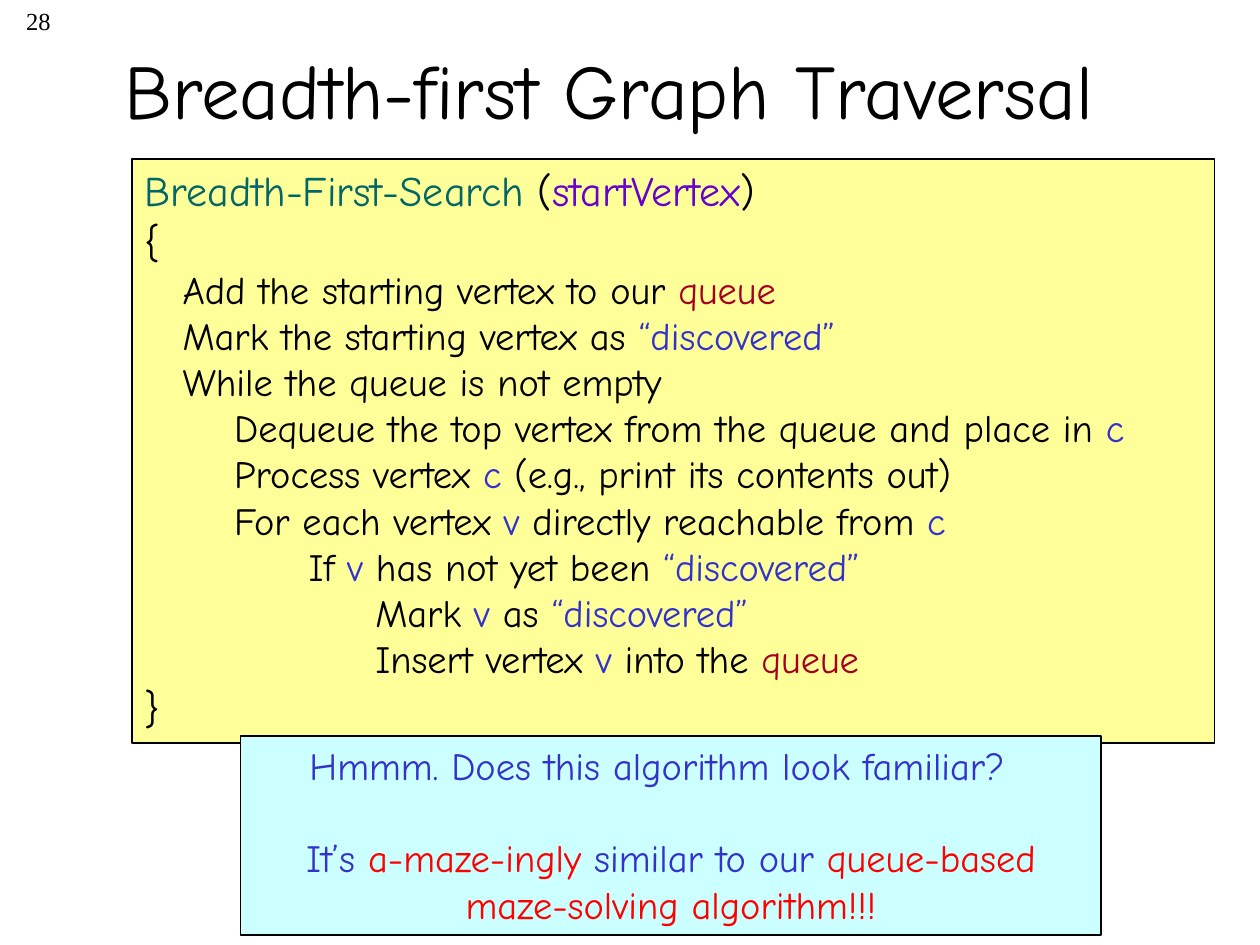
from dataclasses import dataclass
from typing import NamedTuple, Optional

from pptx import Presentation
from pptx.dml.color import RGBColor
from pptx.enum.shapes import MSO_SHAPE
from pptx.enum.text import MSO_ANCHOR, PP_ALIGN
from pptx.util import Inches, Pt


@dataclass(frozen=True)
class Theme:
    hand: str = "Comic Neue"
    serif: str = "Times New Roman"
    number_size: int = 14
    title_size: int = 44
    brace_size: int = 24
    body_size: int = 22
    black: str = "000000"
    teal: str = "006666"
    purple: str = "6600CC"
    crimson: str = "A50021"
    blue: str = "3333CC"
    red: str = "FF0000"
    yellow: str = "FFFF99"
    cyan: str = "CCFFFF"


THEME = Theme()


class Span(NamedTuple):
    text: str
    color: str = THEME.black


class Line(NamedTuple):
    spans: list[Span]
    indent: float = 0
    size: int = THEME.body_size
    font: str = THEME.hand
    align: PP_ALIGN = PP_ALIGN.LEFT
    before: float = 0
    right: float = 0


class Panel(NamedTuple):
    left: float
    top: float
    width: float
    height: float
    lines: list[Line]
    fill: Optional[str] = None
    anchor: MSO_ANCHOR = MSO_ANCHOR.TOP


# Indents of the code levels, in inches
STEP, LOOP, TEST, ACTION = 0.3, 0.71, 1.3, 1.83

# Words that recur in the pseudocode
QUEUE = Span("queue", THEME.crimson)
FOUND = Span("“discovered”", THEME.blue)
C = Span("c", THEME.blue)
V = Span("v", THEME.blue)

CODE = [
    Line([Span("Breadth-First-Search ", THEME.teal), Span("("),
          Span("startVertex", THEME.purple), Span(")")], size=THEME.brace_size),
    Line([Span("{")], size=THEME.brace_size),
    Line([Span("Add the starting vertex to our "), QUEUE], STEP),
    Line([Span("Mark the starting vertex as "), FOUND], STEP),
    Line([Span("While the queue is not empty")], STEP),
    Line([Span("Dequeue the top vertex from the queue and place in "), C], LOOP),
    Line([Span("Process vertex "), C, Span(" (e.g., print its contents out)")], LOOP),
    Line([Span("For each vertex "), V, Span(" directly reachable from "), C], LOOP),
    Line([Span("If "), V, Span(" has not yet been "), FOUND], TEST),
    Line([Span("Mark "), V, Span(" as "), FOUND], ACTION),
    Line([Span("Insert vertex "), V, Span(" into the "), QUEUE], ACTION),
    Line([Span("}")], size=THEME.brace_size),
]

REMARK = [
    Line([Span("Hmmm. Does this algorithm look familiar?", THEME.blue)],
         align=PP_ALIGN.CENTER, right=0.22),
    Line([Span("It’s ", THEME.blue), Span("a-maze-ingly ", THEME.red),
          Span("similar to our ", THEME.blue),
          Span("queue-based maze-solving algorithm!!!", THEME.red)],
         align=PP_ALIGN.CENTER, before=26.4),
]

PANELS = [
    # Slide number
    Panel(0, 0, 0.5, 0.5, [Line([Span("28")], size=THEME.number_size,
                                font=THEME.serif, align=PP_ALIGN.RIGHT)]),
    # Title
    Panel(0, 0.08, 9.67, 1.25, [Line([Span("Breadth-first Graph Traversal")],
                                     size=THEME.title_size, align=PP_ALIGN.CENTER)],
          anchor=MSO_ANCHOR.MIDDLE),
    # Pseudocode and the remark over its lower edge
    Panel(1.05, 1.26, 8.59, 4.64, CODE, THEME.yellow),
    Panel(1.91, 5.84, 6.83, 1.58, REMARK, THEME.cyan),
]


def apply_format(target, values: dict) -> None:
    for name, value in values.items():
        setattr(target, name, value)


def write_line(para, line: Line) -> None:
    apply_format(para, {"alignment": line.align, "space_before": Pt(line.before)})
    properties = para._p.get_or_add_pPr()
    for name, value in {"marL": line.indent, "marR": line.right, "indent": 0}.items():
        properties.set(name, str(Inches(value)))
    for span in line.spans:
        run = para.add_run()
        run.text = span.text
        apply_format(run.font, {"name": line.font, "size": Pt(line.size)})
        run.font.color.rgb = RGBColor.from_string(span.color)


def draw_panel(slide, panel: Panel) -> None:
    place = [Inches(value) for value in panel[:4]]
    if panel.fill:
        box = slide.shapes.add_shape(MSO_SHAPE.RECTANGLE, *place)
        box.shadow.inherit = False
        box.fill.solid()
        box.fill.fore_color.rgb = RGBColor.from_string(panel.fill)
        box.line.color.rgb = RGBColor.from_string(THEME.black)
        box.line.width = Pt(1)
    else:
        box = slide.shapes.add_textbox(*place)
    frame = box.text_frame
    apply_format(frame, {"word_wrap": True, "vertical_anchor": panel.anchor})
    for index, line in enumerate(panel.lines):
        para = frame.add_paragraph() if index else frame.paragraphs[0]
        write_line(para, line)


def main() -> None:
    deck = Presentation()
    apply_format(deck, {"slide_width": Inches(10), "slide_height": Inches(7.5)})
    slide = deck.slides.add_slide(deck.slide_layouts[6])
    for panel in PANELS:
        draw_panel(slide, panel)
    deck.save("out.pptx")


if __name__ == "__main__":
    main()
